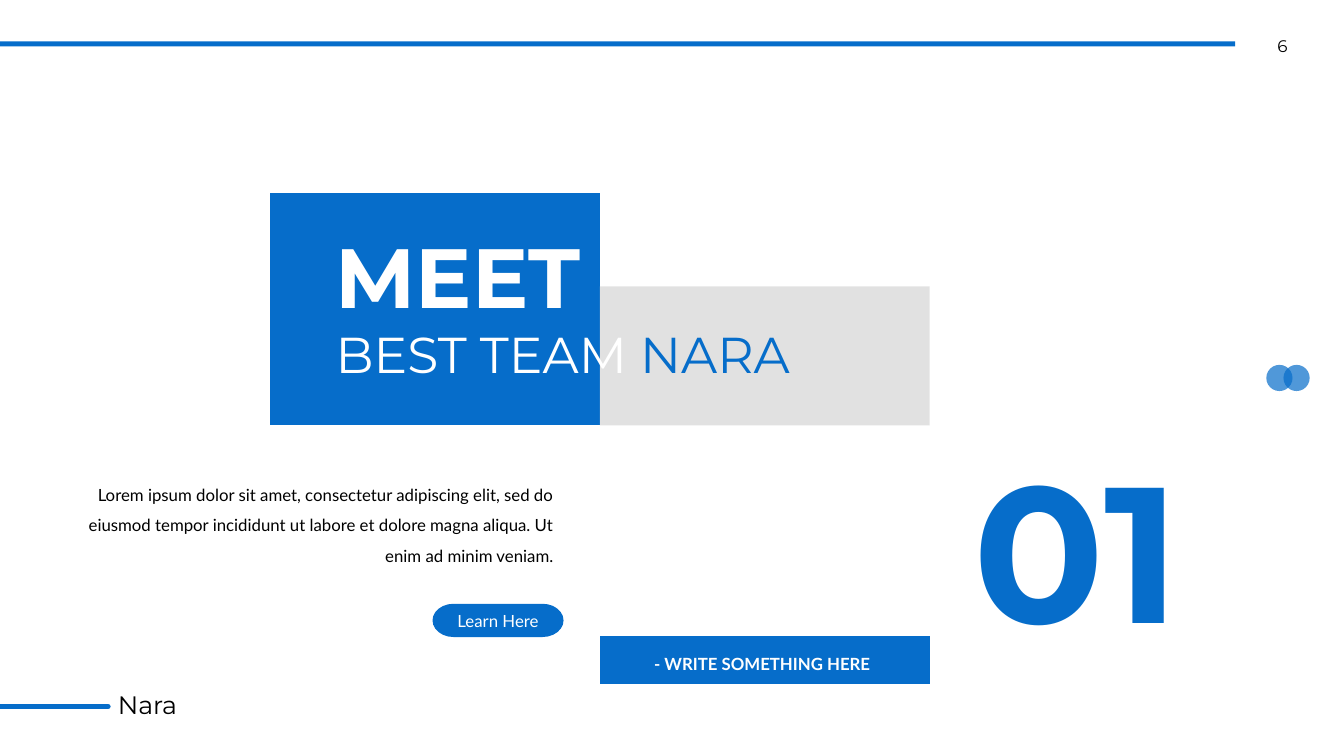
from dataclasses import dataclass

from lxml import etree
from pptx import Presentation
from pptx.dml.color import RGBColor
from pptx.enum.shapes import MSO_CONNECTOR, MSO_SHAPE
from pptx.enum.text import MSO_ANCHOR, MSO_AUTO_SIZE, PP_ALIGN
from pptx.oxml.ns import qn
from pptx.util import Inches, Pt

LEFT, CENTER, RIGHT = PP_ALIGN.LEFT, PP_ALIGN.CENTER, PP_ALIGN.RIGHT
TOP, MIDDLE = MSO_ANCHOR.TOP, MSO_ANCHOR.MIDDLE
ELLIPSE, RECTANGLE = MSO_SHAPE.OVAL, MSO_SHAPE.RECTANGLE
PROCESS, TERMINATOR = MSO_SHAPE.FLOWCHART_PROCESS, MSO_SHAPE.FLOWCHART_TERMINATOR
STRAIGHT = MSO_CONNECTOR.STRAIGHT

COLORS = {"blue": "066DCA", "gray": "D8D8D8", "white": "FFFFFF", "black": "000000"}
HEADING_FONT, BODY_FONT = "Montserrat", "Lato"

Box = tuple[float, float, float, float]


@dataclass(frozen=True)
class Panel:
    box: Box
    preset: int = PROCESS
    color: str = "blue"
    opacity: int = 100


@dataclass(frozen=True)
class Label:
    box: Box
    runs: tuple[tuple[str, str], ...]  # (text, colour name)
    size: float
    font: str = HEADING_FONT
    bold: bool = False
    align: int = LEFT
    line_spacing: float = 1.0
    anchor: int = TOP
    margin_y: float = 0.05


DOT_SIZE = 0.26
DOTS = [Panel((left, 3.62, DOT_SIZE, DOT_SIZE), ELLIPSE, opacity=70)
        for left in (12.56, 12.73)]
TOP_BAR = Panel((0, 0.41, 12.25, 0.05), RECTANGLE)

PANEL_WIDTH, PANEL_SPLIT = 3.27, 5.95
HEADING_PANELS = [
    Panel((PANEL_SPLIT - PANEL_WIDTH, 1.91, PANEL_WIDTH, 2.31)),
    Panel((PANEL_SPLIT, 2.84, PANEL_WIDTH, 1.38), color="gray", opacity=75),
]
CAPTION_PANEL = Panel((PANEL_SPLIT, 6.31, PANEL_WIDTH, 0.48))
BUTTON = Panel((4.29, 5.99, 1.3, 0.33), TERMINATOR)

PAGE_NUMBER = Label((12.38, 0.35, 0.68, 0.2), (("6", "black"),), 12,
                    align=CENTER, margin_y=0)
DECK_NAME = Label((1.07, 6.79, 1.67, 0.4), (("Nara", "black"),), 18)
TITLE = Label((3.23, 2.18, 3.16, 1.11), (("MEET", "white"),), 60, bold=True)
SUBTITLE = Label((3.23, 3.16, 5.09, 0.71),
                 (("BEST TEAM ", "white"), ("NARA", "blue")), 36)
INTRO = Label(
    (0.72, 4.66, 4.87, 0.97),
    (("Lorem ipsum dolor sit amet, consectetur adipiscing elit, sed do eiusmod "
      "tempor incididunt ut labore et dolore magna aliqua. Ut enim ad minim veniam.",
      "black"),),
    12, BODY_FONT, align=RIGHT, line_spacing=1.5)
BUTTON_LABEL = Label(BUTTON.box, (("Learn Here", "white"),), 12, BODY_FONT,
                     align=CENTER, anchor=MIDDLE)
CAPTION = Label((6.39, 6.34, 2.72, 0.36), (("- WRITE SOMETHING HERE", "white"),),
                12, BODY_FONT, bold=True, line_spacing=1.5)
SECTION_NUMBER = Label((9.22, 4.22, 2.92, 2.42), (("01", "blue"),), 138,
                       bold=True, align=CENTER)


def rgb(name: str) -> RGBColor:
    return RGBColor.from_string(COLORS[name])


def draw_panel(slide, panel: Panel):
    shape = slide.shapes.add_shape(panel.preset, *map(Inches, panel.box))
    shape.shadow.inherit = False
    shape.fill.solid()
    shape.fill.fore_color.rgb = rgb(panel.color)
    shape.line.fill.background()
    if panel.opacity < 100:
        color = shape._element.spPr.find(f"{qn('a:solidFill')}/{qn('a:srgbClr')}")
        etree.SubElement(color, qn("a:alpha"), val=str(panel.opacity * 1000))
    return shape


def write_label(shape, label: Label) -> None:
    frame = shape.text_frame
    frame.word_wrap = True
    frame.auto_size = MSO_AUTO_SIZE.NONE
    frame.vertical_anchor = label.anchor
    frame.margin_left = frame.margin_right = Inches(0.1)
    frame.margin_top = frame.margin_bottom = Inches(label.margin_y)
    paragraph = frame.paragraphs[0]
    paragraph.alignment = label.align
    paragraph.line_spacing = label.line_spacing
    paragraph.space_before = Pt(0)
    for text, color in label.runs:
        run = paragraph.add_run()
        run.text = text
        run.font.name = label.font
        run.font.size = Pt(label.size)
        run.font.bold = label.bold
        run.font.color.rgb = rgb(color)


def draw_label(slide, label: Label) -> None:
    write_label(slide.shapes.add_textbox(*map(Inches, label.box)), label)


def fill_placeholder(slide, placeholder, label: Label) -> None:
    """Place and fill a placeholder, bringing it in front of what is drawn so far."""
    placeholder.left, placeholder.top, placeholder.width, placeholder.height = map(
        Inches, label.box)
    slide.shapes._spTree.append(placeholder._element)
    write_label(placeholder, label)


def remove_bullet(paragraph) -> None:
    properties = paragraph._p.get_or_add_pPr()
    properties.set("marL", "0")
    properties.set("indent", "0")
    etree.SubElement(properties, qn("a:buNone"))


def draw_footer_rule(slide) -> None:
    rule = slide.shapes.add_connector(
        STRAIGHT, Inches(0), Inches(7.01), Inches(1.07), Inches(7.01))
    rule.line.color.rgb = rgb("blue")
    rule.line.width = Pt(4)
    properties = rule._element.spPr
    properties.find(qn("a:ln")).set("cap", "rnd")
    etree.SubElement(properties, qn("a:effectLst"))


def main() -> None:
    presentation = Presentation()
    presentation.slide_width = Inches(13.33)
    presentation.slide_height = Inches(7.5)
    slide = presentation.slides.add_slide(presentation.slide_layouts[1])
    title, intro = slide.placeholders

    for dot in DOTS:
        draw_panel(slide, dot)
    draw_label(slide, PAGE_NUMBER)
    draw_footer_rule(slide)
    draw_label(slide, DECK_NAME)
    draw_panel(slide, TOP_BAR)

    for panel in HEADING_PANELS:
        draw_panel(slide, panel)
    fill_placeholder(slide, title, TITLE)
    draw_label(slide, SUBTITLE)

    remove_bullet(intro.text_frame.paragraphs[0])
    fill_placeholder(slide, intro, INTRO)
    write_label(draw_panel(slide, BUTTON), BUTTON_LABEL)
    draw_panel(slide, CAPTION_PANEL)
    draw_label(slide, CAPTION)
    draw_label(slide, SECTION_NUMBER)

    presentation.save("out.pptx")


if __name__ == "__main__":
    main()
